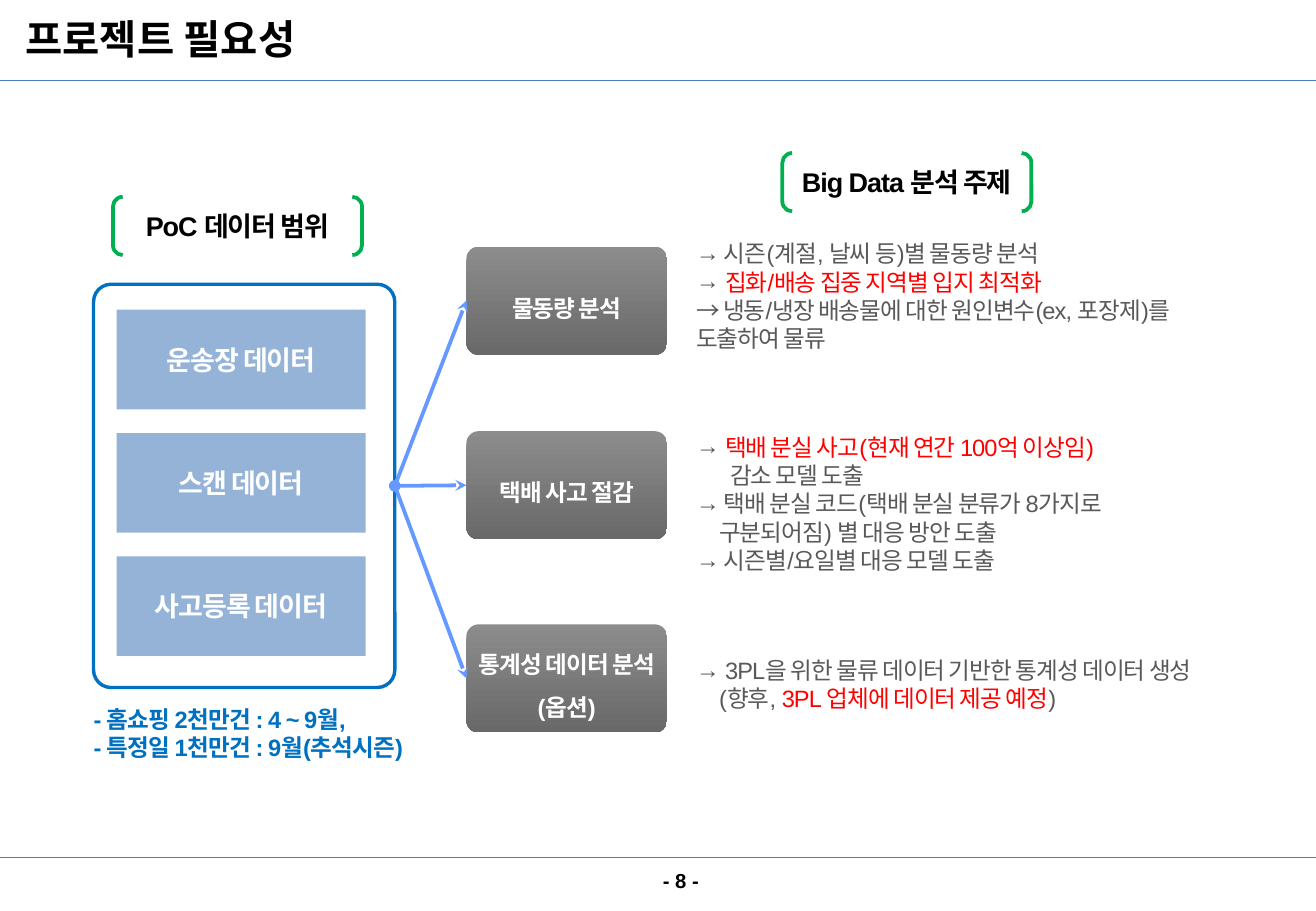
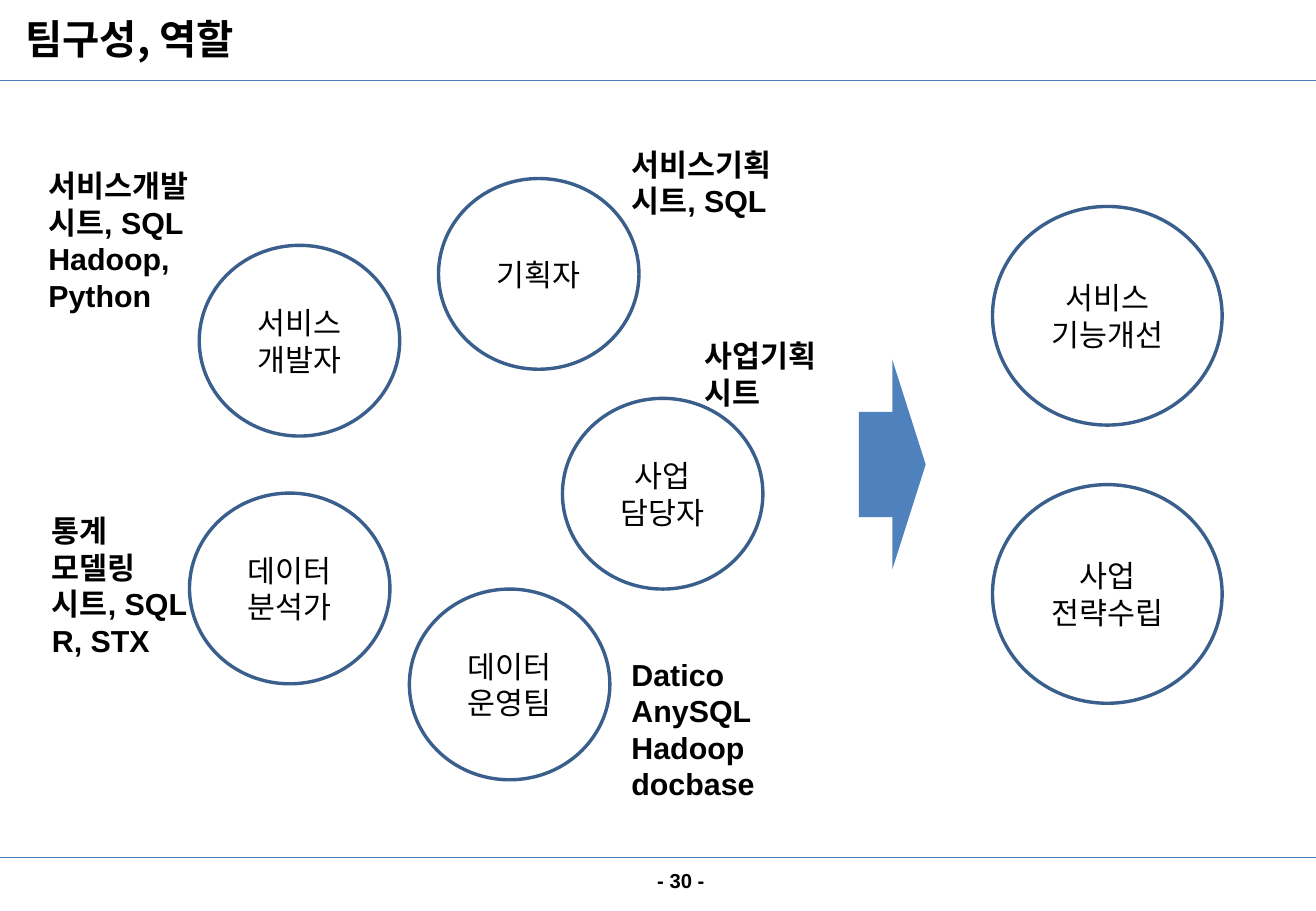
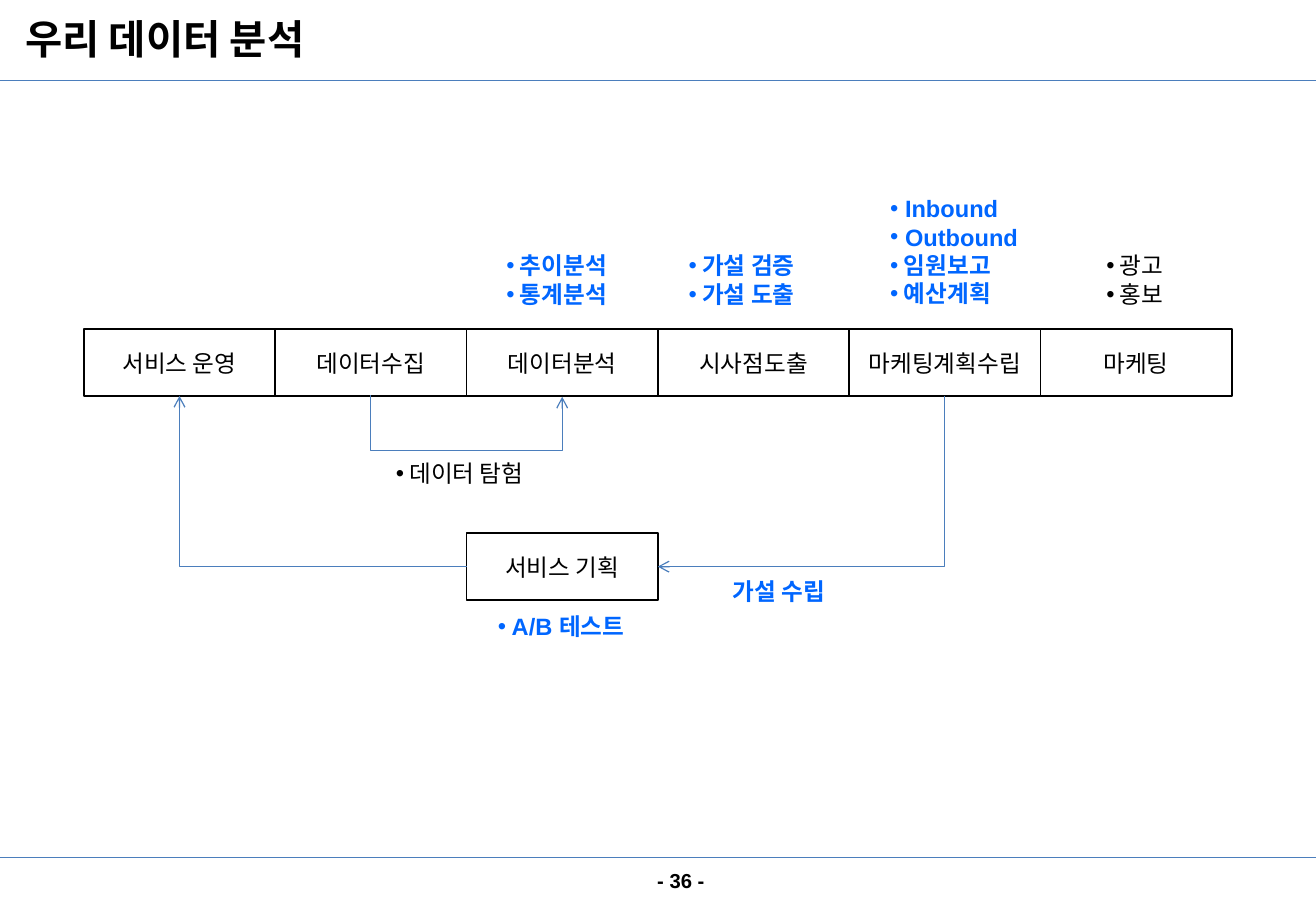
from dataclasses import dataclass

from lxml import etree
from pptx import Presentation
from pptx import util as u
from pptx.dml.color import RGBColor
from pptx.enum import shapes, text
from pptx.oxml.ns import qn

KIND = shapes.MSO_SHAPE
LINK = shapes.MSO_CONNECTOR
CELL = u.Inches(0.1)  # one column or row of the grid
COLS, ROWS = 108.33, 75
KOR = "Noto Sans CJK KR"
INK, WHITE, GREY, RED = "000000", "FFFFFF", "595959", "FF0000"
BLUE, RULE, RING = "0066FF", "4B7EBC", "3A5F8C"


def hue(code):
    return RGBColor.from_string(code)


def cells(*nums):
    """Turn grid cells into slide lengths."""
    return [u.Emu(round(n * CELL)) for n in nums]


def add(node, tag, **attrs):
    """Append a child element to an XML node."""
    return etree.SubElement(node, qn(tag), attrs)


@dataclass
class Par:
    """A paragraph: runs are strings or (string, colour) pairs."""
    runs: list
    mark: str = ""
    pad: float = 0
    hang: float = 0


class Deck:
    BASE = dict(size=14, bold=False, name="Arial", color=INK, spc=0,
                align="LEFT", anchor="TOP", inset=None, lead=None, mark="")

    def __init__(self):
        self.prs = Presentation()
        self.prs.slide_width, self.prs.slide_height = cells(COLS, ROWS)

    def page(self, title, num):
        """Start a slide with its title, rules and page number."""
        self.items = self.prs.slides.add_slide(self.prs.slide_layouts[6]).shapes
        for row in (6.6, 70.6):
            ends = cells(0, row, COLS, row)
            self.ink(self.items.add_connector(LINK.STRAIGHT, *ends), RULE, 0.75)
        self.note((1.1, 0.3, 64.2, 5.7), [title], size=24, bold=True,
                  name=KOR, anchor="MIDDLE")
        self.note((43.4, 70.5, 25.3, 4), [f"- {num} -"], size=12, bold=True,
                  align="CENTER", anchor="MIDDLE")

    def label(self, frame, pars, **fmt):
        """Fill a text frame with paragraphs in one format."""
        fmt = {**self.BASE, **fmt}
        frame.word_wrap = True
        frame.vertical_anchor = text.MSO_ANCHOR[fmt["anchor"]]
        if fmt["inset"] is not None:
            for side in ("left", "top", "right", "bottom"):
                setattr(frame, f"margin_{side}", fmt["inset"])
        for i, par in enumerate(pars):
            if isinstance(par, str):
                par = Par([par], fmt["mark"])
            p = frame.add_paragraph() if i else frame.paragraphs[0]
            p.alignment = text.PP_ALIGN[fmt["align"]]
            if fmt["lead"]:
                p.line_spacing = fmt["lead"]
            self.bullet(p, par, fmt["color"])
            for run in par.runs:
                words, tint = (run, fmt["color"]) if isinstance(run, str) else run
                r = p.add_run()
                r.text = words
                look = dict(size=u.Pt(fmt["size"]), bold=fmt["bold"], name=fmt["name"])
                for key, val in look.items():
                    setattr(r.font, key, val)
                r.font.color.rgb = hue(tint)
                props = r._r.get_or_add_rPr()
                if fmt["spc"]:
                    props.set("spc", str(fmt["spc"]))
                add(props, "a:ea", typeface=KOR)

    def bullet(self, p, par, tint):
        props = p._p.get_or_add_pPr()
        pad, hang = cells(par.pad, par.hang)
        props.set("marL", str(int(pad)))
        props.set("indent", str(-int(hang)))
        if par.mark:
            add(add(props, "a:buClr"), "a:srgbClr", val=tint)
            add(props, "a:buFont", typeface="Arial")
            add(props, "a:buChar", char=par.mark)
        else:
            add(props, "a:buNone")

    def note(self, box, pars, **fmt):
        item = self.items.add_textbox(*cells(*box))
        self.label(item.text_frame, pars, **fmt)

    def form(self, kind, box, pars=(), fill=None, line=None, width=1, adj=None, **fmt):
        """Add a preset shape; two fill colours make a downward gradient."""
        item = self.items.add_shape(kind, *cells(*box))
        item.shadow.inherit = False
        if isinstance(fill, tuple):
            item.fill.gradient()
            item.fill.gradient_angle = 270
            for stop, code in zip(item.fill.gradient_stops, fill):
                stop.color.rgb = hue(code)
        elif fill:
            item.fill.solid()
            item.fill.fore_color.rgb = hue(fill)
        else:
            item.fill.background()
        if line:
            item.line.color.rgb = hue(line)
            item.line.width = u.Pt(width)
        else:
            item.line.fill.background()
        if adj is not None:
            item.adjustments[0] = adj
        fmt = {"align": "CENTER", "anchor": "MIDDLE", **fmt}
        self.label(item.text_frame, pars, **fmt)
        return item

    def ink(self, cxn, code, width, head=None, tail=None):
        """Style a connector and its ends."""
        cxn.line.color.rgb = hue(code)
        cxn.line.width = u.Pt(width)
        props = cxn.element.spPr
        for tag, end in (("a:headEnd", head), ("a:tailEnd", tail)):
            if end:
                add(props.find(qn("a:ln")), tag, type=end)
        add(props, "a:effectLst")

    def join(self, one, side, two, dock, kind=LINK.STRAIGHT):
        cxn = self.items.add_connector(kind, 0, 0, 0, 0)
        cxn.begin_connect(one, side)
        cxn.end_connect(two, dock)
        return cxn

    def bend(self, one, side, two, dock, preset, rot, flip="0", adj=None):
        """Join two shapes by an elbow with a turned frame."""
        cxn = self.join(one, side, two, dock, LINK.ELBOW)
        midx = (cxn.begin_x + cxn.end_x) // 2
        midy = (cxn.begin_y + cxn.end_y) // 2
        wide, high = abs(cxn.end_x - cxn.begin_x), abs(cxn.end_y - cxn.begin_y)
        if rot % 180:
            wide, high = max(high, u.Pt(1)), wide
        frame = dict(left=midx - wide // 2, top=midy - high // 2,
                     width=wide, height=high)
        for key, val in frame.items():
            setattr(cxn, key, u.Emu(val))
        props = cxn.element.spPr
        turn = dict(rot=str(rot * 60000), flipH=flip, flipV="0")
        for key, val in turn.items():
            props.find(qn("a:xfrm")).set(key, val)
        geom = props.find(qn("a:prstGeom"))
        geom.set("prst", preset)
        if adj:
            add(geom.find(qn("a:avLst")), "a:gd", name="adj1", fmla=f"val {adj}")
        self.ink(cxn, RULE, 0.75, tail="arrow")


def need(deck):
    deck.page("프로젝트 필요성", 8)
    tight = dict(spc=-60, inset=0)
    bold = dict(tight, bold=True)
    frame = deck.form(KIND.ROUNDED_RECTANGLE, (7.7, 23.4, 24.8, 33.2),
                      line="0070C0", width=2, adj=0.058)
    for i, name in enumerate(("운송장 데이터", "스캔 데이터", "사고등록 데이터")):
        deck.form(KIND.RECTANGLE, (9.6, 25.5 + 10.15 * i, 20.5, 8.2), [name],
                  fill="95B3D7", size=16, color=WHITE, **bold)
    for col, row, name in ((9.3, 16.2, "PoC 데이터 범위"),
                           (64.4, 12.6, "Big Data 분석 주제")):
        deck.form(KIND.DOUBLE_BRACKET, (col, row, 20.5, 4.8), [name],
                  line="00B050", width=2.25, size=16, **bold)
    for row, name in ((20.3, "물동량 분석"), (35.5, "택배 사고 절감"),
                      (51.4, "통계성 데이터 분석(옵션)")):
        goal = deck.form(KIND.ROUNDED_RECTANGLE, (38.4, row, 16.5, 8.9), [name],
                         fill=("8C8C8C", "696969"), adj=0.111, color=WHITE,
                         lead=1.5, **bold)
        deck.ink(deck.join(frame, 3, goal, 1), "6699FF", 2.25, "oval", "stealth")

    def arrow(*runs):
        return Par(list(runs), "→", 1.9, 1.9)

    topics = (
        (19.7, 9.4, [
            arrow(" 시즌(계절, 날씨 등)별 물동량 분석"),
            arrow(" ", ("집화/배송 집중 지역별 입지 최적화", RED)),
            Par(["→ 냉동/냉장 배송물에 대한 원인변수(ex, 포장제)를 도출하여 물류"])]),
        (35.6, 11.8, [
            arrow(" ", ("택배 분실 사고(현재 연간 100억 이상임)", RED)),
            Par(["감소 모델 도출"], pad=2.8),
            arrow(" 택배 분실 코드(택배 분실 분류가 8가지로"),
            Par(["구분되어짐) 별 대응 방안 도출"], pad=1.9),
            arrow(" 시즌별/요일별 대응 모델 도출")]),
        (54, 4.7, [
            arrow(" 3PL을 위한 물류 데이터 기반한 통계성 데이터 생성(향후,",
                  (" 3PL 업체에 데이터 제공 예정", RED), ")")]),
    )
    for row, high, pars in topics:
        deck.note((57.3, row, 44.1, high), pars, color=GREY, **tight)
    spans = ("- 홈쇼핑 2천만건 : 4 ~ 9월,", "- 특정일 1천만건 : 9월(추석시즌)")
    deck.note((7.7, 58, 27.6, 4.7), [Par([s], "", 1.9, 1.9) for s in spans],
              color="0070C0", **bold)


def team(deck):
    deck.page("팀구성, 역할", 30)
    role, gain = (16.5, 15.7), (18.9, 18)
    rings = (
        (36.1, 14.7, role, ["기획자"]),
        (46.3, 32.8, role, ["사업", "담당자"]),
        (33.7, 48.5, role, ["데이터", "운영팀"]),
        (16.4, 20.2, role, ["서비스", "개발자"]),
        (15.6, 40.6, role, ["데이터", "분석가"]),
        (81.7, 17, gain, ["서비스", "기능개선"]),
        (81.7, 39.9, gain, ["사업", "전략수립"]),
    )
    for col, row, size, pars in rings:
        deck.form(KIND.OVAL, (col, row, *size), pars, fill=WHITE, line=RING,
                  width=2, size=18, name=KOR)
    deck.form(KIND.RIGHT_ARROW, (70.7, 29.6, 5.5, 17.3), fill="4F81BD")
    skills = (
        ((51, 11.5, 14.6, 7.1), ["서비스기획", "시트, SQL"]),
        ((3, 13.3, 14.6, 13.1), ["서비스개발", "시트, SQL", "Hadoop,", "Python"]),
        ((3.3, 41.7, 13.3, 13.1), ["통계", "모델링", "시트, SQL", "R, STX"]),
        ((51, 53.5, 13.7, 13.1), ["Datico", "AnySQL", "Hadoop", "docbase"]),
        ((57, 27.3, 12.1, 7.1), ["사업기획", "시트"]),
    )
    for box, pars in skills:
        deck.note(box, pars, size=18, bold=True)


def flow(deck):
    deck.page("우리 데이터 분석", 36)
    wide, high = 15.75, 5.5

    def step(col, row, name):
        return deck.form(KIND.RECTANGLE, (6.9 + wide * col, row, wide, high), [name],
                         fill=WHITE, line=INK, name=KOR)

    names = ("서비스 운영", "데이터수집", "데이터분석", "시사점도출",
             "마케팅계획수립", "마케팅")
    run, gather, study, _, market, _ = [step(i, 27.1, n) for i, n in enumerate(names)]
    plan = step(2, 43.9, "서비스 기획")
    deck.bend(market, 2, plan, 3, "bentConnector2", 90)
    deck.bend(plan, 1, run, 2, "bentConnector2", 180)
    deck.bend(gather, 2, study, 2, "bentConnector3", 270, "1", 3300000)
    key = dict(color=BLUE, bold=True)
    notes = (
        ((40, 49.9, 13.4, 3.4), [" A/B 테스트"], "•", key),
        ((90.1, 20.2, 7.3, 5.7), [" 광고", " 홍보"], "•", {}),
        ((72.3, 15.5, 12.9, 10.4),
         [" Inbound", " Outbound", " 임원보고", " 예산계획"], "•", key),
        ((55.7, 20.2, 11.9, 5.7), [" 가설 검증", " 가설 도출"], "•", key),
        ((31.6, 37.3, 13.9, 3.4), [" 데이터 탐험"], "•", {}),
        ((58.9, 47, 11.2, 3.4), [" 가설 수립"], "", key),
        ((40.7, 20.2, 11.2, 5.7), [" 추이분석", " 통계분석"], "•", key),
    )
    for box, pars, mark, fmt in notes:
        deck.note(box, pars, mark=mark, **fmt)


def main():
    deck = Deck()
    for draw in (need, team, flow):
        draw(deck)
    deck.prs.save("out.pptx")


if __name__ == "__main__":
    main()
